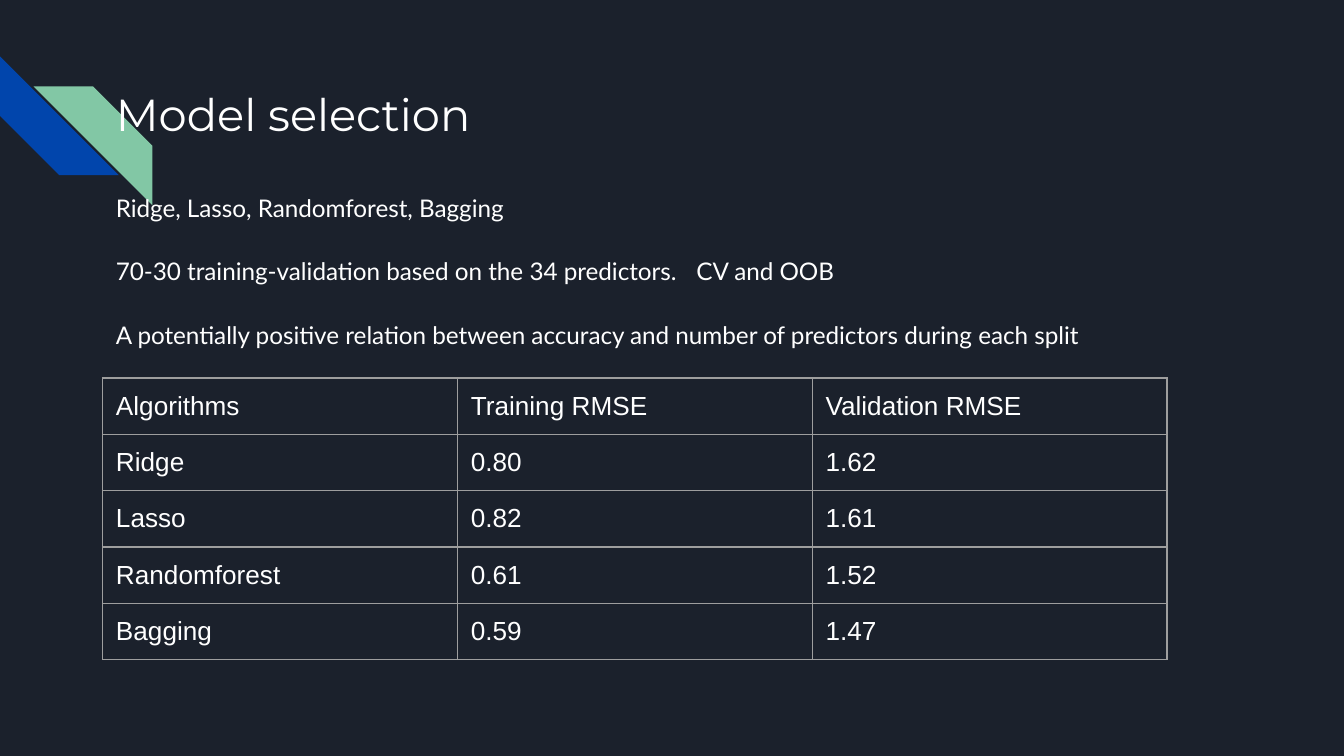
from lxml import etree
from pptx import Presentation
from pptx.dml.color import RGBColor
from pptx.enum.shapes import MSO_SHAPE
from pptx.enum.text import MSO_ANCHOR, MSO_AUTO_SIZE, PP_ALIGN
from pptx.oxml.ns import qn
from pptx.util import Inches, Pt

STRIPE = MSO_SHAPE.DIAGONAL_STRIPE
TOP = MSO_ANCHOR.TOP
NO_FIT = MSO_AUTO_SIZE.NONE
LEFT = PP_ALIGN.LEFT
TITLE_ONLY = 5

WIDTH = 10
HEIGHT = WIDTH * 9 / 16
COLS, ROWS = 100, 56.25
LEFT_COL = 7.63

BULLETS = [
    "Ridge, Lasso, Randomforest, Bagging",
    "70-30 training-validation based on the 34 predictors.\tCV and OOB",
    "A potentially positive relation between accuracy and number of predictors during each split",
]
RESULTS = [
    ("Algorithms", "Training RMSE", "Validation RMSE"),
    ("Ridge", "0.80", "1.62"),
    ("Lasso", "0.82", "1.61"),
    ("Randomforest", "0.61", "1.52"),
    ("Bagging", "0.59", "1.47"),
]


def rgb(value):
    return RGBColor.from_string(value)


class Deck:
    background, ink, border = "1B212C", "FFFFFF", "9E9E9E"
    blue, green = "0145AC", "82C7A5"
    title_font, body_font, table_font = "Montserrat", "Lato", "Arial"
    inset = Inches(0.1)

    def __init__(self):
        self.prs = Presentation()
        self.prs.slide_width, self.prs.slide_height = Inches(WIDTH), Inches(HEIGHT)
        self.s = self.prs.slides.add_slide(self.prs.slide_layouts[TITLE_ONLY])
        fill = self.s.background.fill
        fill.solid()
        fill.fore_color.rgb = rgb(self.background)

    def box(self, x, y, w, h):
        return (Inches(x * WIDTH / COLS), Inches(y * HEIGHT / ROWS),
                Inches(w * WIDTH / COLS), Inches(h * HEIGHT / ROWS))

    def style(self, p, font, size):
        p.alignment = LEFT
        p.font.name, p.font.size = font, Pt(size)
        p.font.color.rgb = rgb(self.ink)

    def pad(self, frame):
        frame.margin_left = frame.margin_right = self.inset
        frame.margin_top = frame.margin_bottom = self.inset
        frame.vertical_anchor = TOP

    def frame(self, sp):
        tf = sp.text_frame
        tf.word_wrap, tf.auto_size = True, NO_FIT
        self.pad(tf)
        return tf

    def stripe(self, x, y, size, color, rotation=0, flip=False):
        sp = self.s.shapes.add_shape(STRIPE, *self.box(x, y, size, size))
        sp.shadow.inherit = False
        sp.fill.solid()
        sp.fill.fore_color.rgb = rgb(color)
        sp.line.fill.background()
        sp.rotation = rotation
        if flip:
            sp._element.spPr.find(qn("a:xfrm")).set("flipH", "1")

    def title(self, text, x, y, w, h):
        sp = self.s.shapes.title
        self.s.shapes._spTree.append(sp._element)
        sp.left, sp.top, sp.width, sp.height = self.box(x, y, w, h)
        tf = self.frame(sp)
        tf.text = text
        self.style(tf.paragraphs[0], self.title_font, 24)

    def body(self, lines, x, y, w, h, tab):
        tf = self.frame(self.s.shapes.add_textbox(*self.box(x, y, w, h)))
        for i, line in enumerate(lines):
            p = tf.add_paragraph() if i else tf.paragraphs[0]
            p.text = line
            if "\t" in line:
                tabs = etree.SubElement(p._p.get_or_add_pPr(), qn("a:tabLst"))
                etree.SubElement(tabs, qn("a:tab"), pos=str(self.box(tab, 0, 0, 0)[0]), algn="l")
            p.line_spacing = 1.15
            p.space_before = Pt(16 if i else 0)
            self.style(p, self.body_font, 13)

    def outline(self, cell):
        tcPr = cell._tc.get_or_add_tcPr()
        for side in ("lnL", "lnR", "lnT", "lnB"):
            ln = etree.SubElement(tcPr, qn(f"a:{side}"), w=str(Pt(0.75)))
            fill = etree.SubElement(ln, qn("a:solidFill"))
            etree.SubElement(fill, qn("a:srgbClr"), val=self.border)

    def table(self, rows, x, y, col, row):
        n, m = len(rows), len(rows[0])
        table = self.s.shapes.add_table(n, m, *self.box(x, y, col * m, row * n)).table
        table.first_row = table.horz_banding = False
        for i, values in enumerate(rows):
            for j, value in enumerate(values):
                cell = table.cell(i, j)
                cell.text = value
                self.pad(cell)
                self.outline(cell)
                cell.fill.background()
                self.style(cell.text_frame.paragraphs[0], self.table_font, 14)


def main():
    deck = Deck()
    deck.stripe(0, 4.2, 8.84, deck.blue, rotation=270)
    deck.stripe(2.5, 6.43, 8.84, deck.green, flip=True)
    deck.title("Model selection", LEFT_COL, 5.45, 77, 10)
    deck.body(BULLETS, LEFT_COL, 13.05, 80.8, 35.8, tab=43.2)
    deck.table(RESULTS, LEFT_COL, 28.13, 26.4, 4.17)
    deck.prs.save("out.pptx")


if __name__ == "__main__":
    main()
